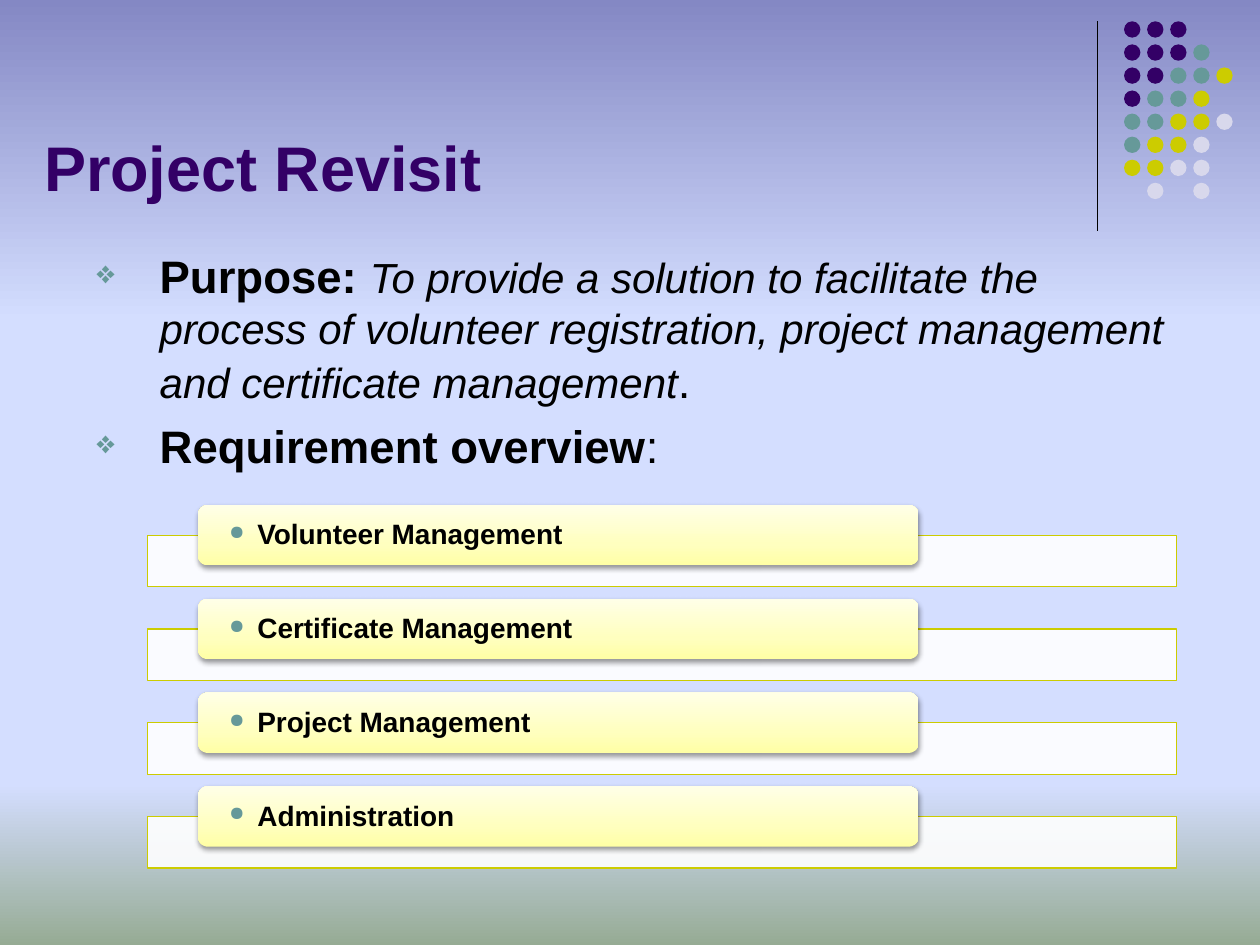
from pptx import Presentation
from pptx import util as u
from pptx.dml.color import RGBColor
from pptx.enum import shapes, text
from pptx.oxml import parse_xml
from pptx.oxml.ns import nsdecls, qn

TITLE = "Project Revisit"
BODY = [
    [("Purpose: ", "label"),
     ("To provide a solution to facilitate the process of volunteer registration, "
      "project management and certificate management", "detail"),
     (".", "plain")],
    [("Requirement overview", "label"), (":", "plain")],
]
REQUIREMENTS = ["Volunteer Management", "Certificate Management",
                "Project Management", "Administration"]
DOT_ROWS = ["PPP", "PPPT", "PPTTY", "PTTY", "TTYYG", "TYYG", "YYGG", " G G"]

THEME = {
    "font": "Arial",
    "purple": "330066", "teal": "669999", "olive": "CCCC00",
    "mist": "D8D8EC", "black": "000000", "white": "FFFFFF",
    "sky": [(0, "8488C4"), (34, "D4DEFF"), (83, "D4DEFF"), (100, "96AB94")],
    "card": [(0, "FFFFA5"), (35, "FFFFBF"), (100, "FFFFE7")],
    "title": {"size": u.Pt(36), "bold": True},
    "label": {"size": u.Pt(26), "bold": True},
    "detail": {"size": u.Pt(24), "bold": False, "italic": True},
    "plain": {"size": u.Pt(26), "bold": False},
    "requirement": {"size": u.Pt(16), "bold": True},
}
DOT_COLOURS = {"P": "purple", "T": "teal", "Y": "olive", "G": "mist"}
DOT_LEFT, DOT_TOP, DOT_PITCH, DOT_SIZE = 22.66, 0.43, 0.465, 0.33
ROW_PITCH = 1.89
BAR_BOX = (2.97, 10.79, 20.75, 1.04)
CARD_BOX = (3.99, 10.18, 14.53, 1.22)
LABEL_BOX = (4.06, 10.24, 14.4, 1.12)


def colour(name):
    return RGBColor.from_string(THEME[name])


def place(box, row=0):
    left, top, width, height = box
    return [u.Cm(value) for value in (left, top + row * ROW_PITCH, width, height)]


def apply(target, values):
    for name, value in values.items():
        setattr(target, name, value)


def paint_gradient(fill, properties, stops, angle):
    fill.solid()
    stop_xml = "".join(f'<a:gs pos="{position * 1000}"><a:srgbClr val="{value}"/></a:gs>'
                       for position, value in stops)
    gradient = parse_xml(f'<a:gradFill {nsdecls("a")} rotWithShape="1"><a:gsLst>{stop_xml}'
                         f'</a:gsLst><a:lin ang="{angle * 60000}" scaled="0"/></a:gradFill>')
    properties.replace(properties.find(qn("a:solidFill")), gradient)


def add_plain_shape(parent, kind, box, fill_name, line_name=None):
    shape = parent.add_shape(kind, *box)
    shape.shadow.inherit = False
    shape.fill.solid()
    shape.fill.fore_color.rgb = colour(fill_name)
    if line_name:
        shape.line.color.rgb = colour(line_name)
        shape.line.width = u.Pt(0.75)
    else:
        shape.line.fill.background()
    return shape


def add_text(parent, box, paragraphs, colour_name, frame_format, paragraph_format=None):
    frame = parent.add_textbox(*box).text_frame
    apply(frame, {"word_wrap": True, **frame_format})
    for index, runs in enumerate(paragraphs):
        paragraph = frame.add_paragraph() if index else frame.paragraphs[0]
        apply(paragraph, paragraph_format or {})
        for words, style in runs:
            run = paragraph.add_run()
            run.text = words
            apply(run.font, {"name": THEME["font"], **THEME[style]})
            run.font.color.rgb = colour(colour_name)
    return frame


def add_bullets(frame, character, indent):
    for paragraph in frame.paragraphs:
        properties = paragraph._p.get_or_add_pPr()
        properties.set("marL", str(u.Cm(indent)))
        properties.set("indent", str(-u.Cm(indent)))
        for tag in (f'<a:buClr {nsdecls("a")}><a:srgbClr val="{THEME["teal"]}"/></a:buClr>',
                    f'<a:buSzPct {nsdecls("a")} val="70000"/>',
                    f'<a:buChar {nsdecls("a")} char="{character}"/>'):
            properties.append(parse_xml(tag))


def add_dots(slide):
    divider = slide.shapes.add_connector(shapes.MSO_CONNECTOR.STRAIGHT, u.Cm(22.12),
                                         u.Cm(0.43), u.Cm(22.12), u.Cm(4.65))
    divider.line.color.rgb = colour("black")
    divider.line.width = u.Pt(0.75)
    divider._element.spPr.append(parse_xml(f'<a:effectLst {nsdecls("a")}/>'))
    group = slide.shapes.add_group_shape().shapes
    for row, letters in enumerate(DOT_ROWS):
        for column, letter in enumerate(letters):
            if letter in DOT_COLOURS:
                box = (DOT_LEFT + column * DOT_PITCH, DOT_TOP + row * DOT_PITCH,
                       DOT_SIZE, DOT_SIZE)
                add_plain_shape(group, shapes.MSO_SHAPE.OVAL, place(box), DOT_COLOURS[letter])


def add_requirement(parent, row, name):
    bar = add_plain_shape(parent, shapes.MSO_SHAPE.RECTANGLE, place(BAR_BOX, row),
                          "white", "olive")
    bar_colour = bar._element.spPr.find(qn("a:solidFill"))[0]
    bar_colour.append(parse_xml(f'<a:alpha {nsdecls("a")} val="90000"/>'))
    card = add_plain_shape(parent, shapes.MSO_SHAPE.ROUNDED_RECTANGLE,
                           place(CARD_BOX, row), "white")
    properties = card._element.spPr
    paint_gradient(card.fill, properties, THEME["card"], 270)
    properties.find(qn("a:effectLst")).append(parse_xml(
        f'<a:outerShdw {nsdecls("a")} blurRad="{u.Pt(3.1)}" dist="{u.Pt(1.6)}" dir="5400000" '
        f'rotWithShape="0"><a:srgbClr val="{THEME["black"]}"><a:alpha val="38000"/>'
        '</a:srgbClr></a:outerShdw>'))
    frame = add_text(parent, place(LABEL_BOX, row), [[(name, "requirement")]], "black",
                     {"vertical_anchor": text.MSO_ANCHOR.MIDDLE,
                      "margin_left": u.Cm(0.56), "margin_right": u.Cm(0.56),
                      "margin_top": 0, "margin_bottom": 0},
                     {"line_spacing": 0.9})
    add_bullets(frame, "●", 0.57)


def main():
    """Build the project overview slide and save it."""
    presentation = Presentation()
    apply(presentation, {"slide_width": u.Cm(25.4), "slide_height": u.Cm(19.05)})
    slide = presentation.slides.add_slide(presentation.slide_layouts[6])
    background = slide.background.fill
    background.solid()
    paint_gradient(background, slide._element.cSld.bg.bgPr, THEME["sky"], 90)
    add_dots(slide)
    add_text(slide.shapes, place((0.64, 0.64, 21.39, 3.6)), [[(TITLE, "title")]], "purple",
             {"vertical_anchor": text.MSO_ANCHOR.BOTTOM})
    group = slide.shapes.add_group_shape().shapes
    for row, name in enumerate(REQUIREMENTS):
        add_requirement(group, row, name)
    body = add_text(slide.shapes, place((1.7, 4.88, 22.23, 4.85)), BODY, "black",
                    {"auto_size": text.MSO_AUTO_SIZE.SHAPE_TO_FIT_TEXT},
                    {"space_before": u.Pt(6)})
    add_bullets(body, "❖", 1.27)
    presentation.save("out.pptx")


if __name__ == "__main__":
    main()
